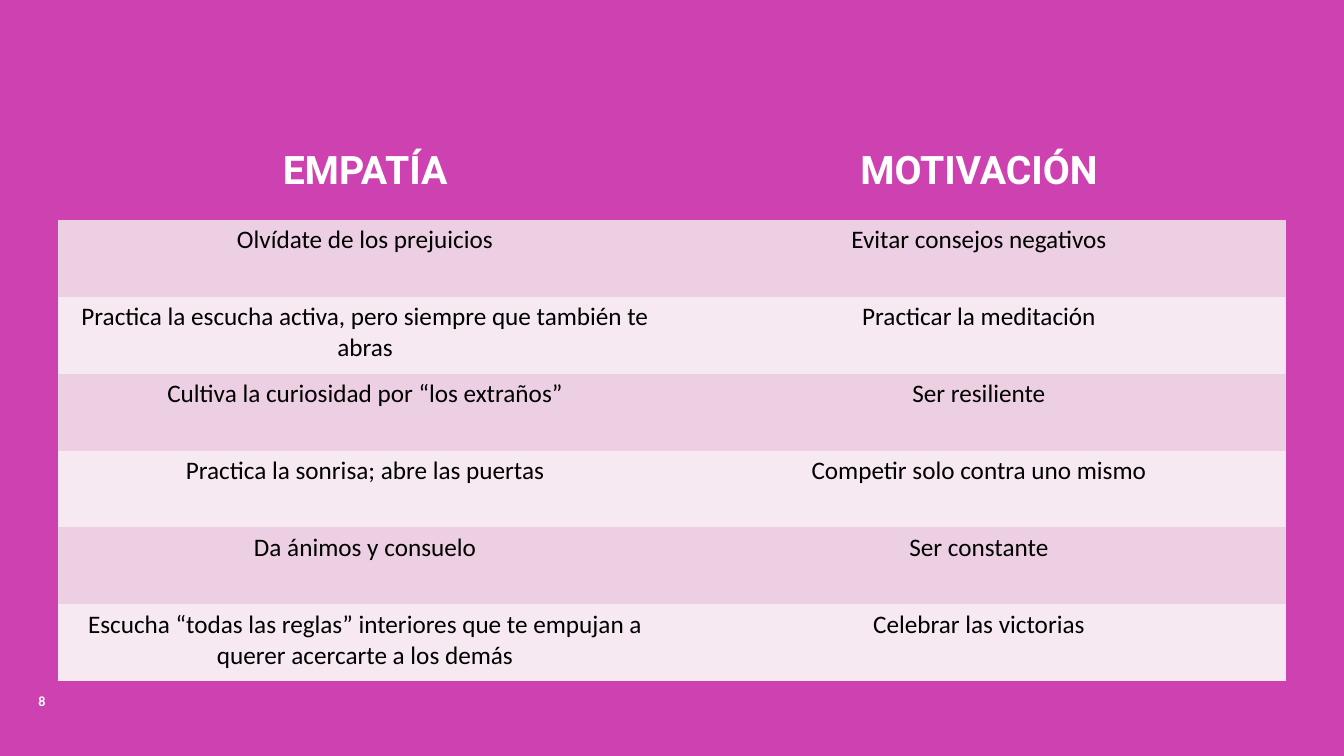
from dataclasses import dataclass

from pptx import Presentation
from pptx.dml.color import RGBColor as Color
from pptx.enum.text import MSO_ANCHOR as Anchor, PP_ALIGN as Align
from pptx.util import Pt

# Content
HEADINGS = ("EMPATÍA", "MOTIVACIÓN")
TIPS = [
    ("Olvídate de los prejuicios", "Evitar consejos negativos"),
    ("Practica la escucha activa, pero siempre que también te abras",
     "Practicar la meditación"),
    ("Cultiva la curiosidad por “los extraños”", "Ser resiliente"),
    ("Practica la sonrisa; abre las puertas", "Competir solo contra uno mismo"),
    ("Da ánimos y consuelo", "Ser constante"),
    ("Escucha “todas las reglas” interiores que te empujan a querer "
     "acercarte a los demás", "Celebrar las victorias"),
]
PAGE_NUMBER = "8"


@dataclass(frozen=True)
class Theme:
    magenta: str = "CD41B0"
    bands: tuple = ("EDCFE4", "F6E9F2")
    white: str = "FFFFFF"
    black: str = "000000"
    heading_font: str = "Roboto"
    body_font: str = "Calibri"
    heading_size: float = 28
    body_size: float = 18
    number_size: float = 10


THEME = Theme()

# Layout, in points
SLIDE_WIDTH, SLIDE_HEIGHT = 960, 540
TABLE_LEFT, TABLE_TOP = 41.5, 102.2
COLUMN_WIDTH, ROW_HEIGHT = 438.5, 54.93
NUMBER_BOX = (0, 453, 60, 57)
NO_GRID_STYLE = "{2D5ABB26-0587-4C30-8999-92F81FD0307C}"


def paint(fill, color):
    fill.solid()
    fill.fore_color.rgb = Color.from_string(color)


def add_centred_run(text_frame, text, font, size, color, bold):
    paragraph = text_frame.paragraphs[0]
    paragraph.alignment = Align.CENTER
    run = paragraph.add_run()
    run.text = text
    run.font.name = font
    run.font.size = Pt(size)
    run.font.bold = bold
    run.font.color.rgb = Color.from_string(color)
    return run


def add_tips_table(slide):
    rows = [HEADINGS, *TIPS]
    frame = slide.shapes.add_table(
        len(rows), len(HEADINGS), Pt(TABLE_LEFT), Pt(TABLE_TOP),
        Pt(COLUMN_WIDTH * len(HEADINGS)), Pt(ROW_HEIGHT * len(rows)))
    table = frame.table
    # Borderless table style
    properties = table._tbl.tblPr
    properties[0].text = NO_GRID_STYLE
    for column in table.columns:
        column.width = Pt(COLUMN_WIDTH)
    for row_index, texts in enumerate(rows):
        table.rows[row_index].height = Pt(ROW_HEIGHT)
        if row_index == 0:
            fill = THEME.magenta
            style = (THEME.heading_font, THEME.heading_size, THEME.white, True)
        else:
            fill = THEME.bands[(row_index - 1) % len(THEME.bands)]
            style = (THEME.body_font, THEME.body_size, THEME.black, False)
        for column_index, text in enumerate(texts):
            cell = table.cell(row_index, column_index)
            paint(cell.fill, fill)
            add_centred_run(cell.text_frame, text, *style)


def add_page_number(slide):
    box = slide.shapes.add_textbox(*(Pt(value) for value in NUMBER_BOX))
    box.text_frame.word_wrap = True
    box.text_frame.vertical_anchor = Anchor.BOTTOM
    run = add_centred_run(box.text_frame, PAGE_NUMBER, THEME.body_font,
                          THEME.number_size, THEME.white, True)
    # Letter spacing of one point
    run._r.get_or_add_rPr().set("spc", "100")


def main():
    presentation = Presentation()
    presentation.slide_width = Pt(SLIDE_WIDTH)
    presentation.slide_height = Pt(SLIDE_HEIGHT)
    slide = presentation.slides.add_slide(presentation.slide_layouts[6])
    paint(slide.background.fill, THEME.magenta)
    add_page_number(slide)
    add_tips_table(slide)
    presentation.save("out.pptx")


if __name__ == "__main__":
    main()
